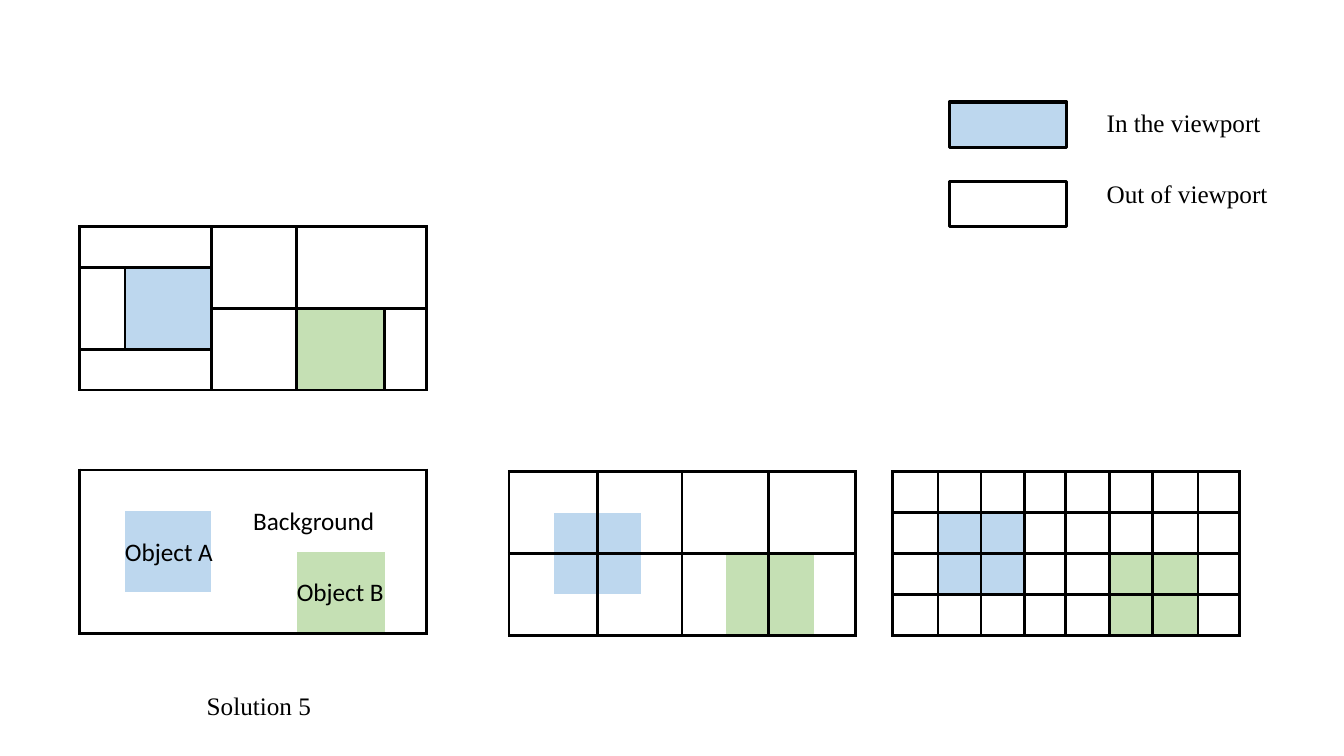
from dataclasses import dataclass

from lxml import etree
from pptx import Presentation
from pptx.dml.color import RGBColor
from pptx.enum.shapes import MSO_SHAPE
from pptx.enum.text import MSO_AUTO_SIZE
from pptx.oxml.ns import qn
from pptx.util import Cm, Pt

RECT = MSO_SHAPE.RECTANGLE
GROW = MSO_AUTO_SIZE.SHAPE_TO_FIT_TEXT


@dataclass(frozen=True)
class Theme:
    ink: str = "000000"
    blue: str = "BDD7EE"
    green: str = "C5E0B4"
    serif: str = "Times New Roman"
    sans: str = "Calibri"
    size: float = 18
    line: float = 2.25


THEME = Theme()
COLS = (1.14, 1.08, 1.1, 1.04, 1.11, 1.07, 1.15, 1.05)
ROW = 1.03

# Cells covered by each object, as (row, column)
FILLS = {(r, c): THEME.blue for r in (1, 2) for c in (1, 2)}
FILLS.update({(r, c): THEME.green for r in (2, 3) for c in (5, 6)})

# Tile maps: cells with the same letter form one tile
WHOLE = ("a" * 8,) * 4
COARSE = ("aabbccdd",) * 2 + ("eeffgghh",) * 2
FINE = ("abcdefgh", "ijklmnop") * 2
MIXED = ("aaabbccc", "deebbccc", "deeffggh", "iiiffggh")


def rgb(code):
    return RGBColor.from_string(code)


def add_text(slide, box, words, font):
    shape = slide.shapes.add_textbox(*map(Cm, box))
    frame = shape.text_frame
    frame.word_wrap = True
    frame.auto_size = GROW
    run = frame.paragraphs[0].add_run()
    run.text = words
    run.font.name = font
    run.font.size = Pt(THEME.size)
    run.font.color.rgb = rgb(THEME.ink)


def set_edge(props, side, shown):
    line = etree.SubElement(props, qn("a:ln" + side), w=str(Pt(THEME.line)))
    if shown:
        fill = etree.SubElement(line, qn("a:solidFill"))
        etree.SubElement(fill, qn("a:srgbClr"), val=THEME.ink)
    else:
        etree.SubElement(line, qn("a:noFill"))


def add_grid(slide, left, top, tiles):
    """Draw a frame, with a line wherever two neighbours differ."""
    rows, cols = len(tiles), len(COLS)
    box = (left, top, sum(COLS), ROW * rows)
    table = slide.shapes.add_table(rows, cols, *map(Cm, box)).table
    table.first_row = table.horz_banding = False
    for col, width in zip(table.columns, COLS):
        col.width = Cm(width)
    for row in table.rows:
        row.height = Cm(ROW)

    def tile(r, c):
        return tiles[r][c] if 0 <= r < rows and 0 <= c < cols else None

    for r in range(rows):
        for c in range(cols):
            cell = table.cell(r, c)
            cell.margin_top = cell.margin_bottom = 0
            props = cell._tc.get_or_add_tcPr()
            near = {"L": (r, c - 1), "R": (r, c + 1),
                    "T": (r - 1, c), "B": (r + 1, c)}
            for side, spot in near.items():
                set_edge(props, side, tile(r, c) != tile(*spot))
            if (r, c) in FILLS:
                cell.fill.solid()
                cell.fill.fore_color.rgb = rgb(FILLS[r, c])
            else:
                cell.fill.background()


def add_scene(slide, left, top):
    """Draw the undivided view with its labels and caption."""
    add_grid(slide, left, top, WHOLE)
    labels = (("Object A", 0.89, 1.55, 3.25),
              ("Object B", 5.22, 2.56, 3.25),
              ("Background", 4.12, 0.78, 4.65))
    for words, dx, dy, width in labels:
        add_text(slide, (left + dx, top + dy, width, 1.02), words, THEME.sans)
    add_text(slide, (left + 2.95, top + 5.43, 5, 1.02), "Solution 5",
             THEME.serif)


def add_legend(slide, left, top):
    items = (("In the viewport", THEME.blue), ("Out of viewport", None))
    for i, (words, color) in enumerate(items):
        box = (left, top + 2 * i, 2.95, 1.14)
        key = slide.shapes.add_shape(RECT, *map(Cm, box))
        key.shadow.inherit = False
        key.line.color.rgb = rgb(THEME.ink)
        key.line.width = Pt(THEME.line)
        if color:
            key.fill.solid()
            key.fill.fore_color.rgb = rgb(color)
        else:
            key.fill.background()
        add_text(slide, (left + 3.71, top + 1.8 * i, 5, 1.02), words,
                 THEME.serif)


def main():
    deck = Presentation()
    deck.slide_width, deck.slide_height = Cm(33.87), Cm(19.05)
    slide = deck.slides.add_slide(deck.slide_layouts[6])
    add_legend(slide, 23.93, 2.57)
    add_scene(slide, 2.01, 11.84)
    add_grid(slide, 12.83, 11.89, COARSE)
    add_grid(slide, 22.5, 11.89, FINE)
    add_grid(slide, 2.01, 5.71, MIXED)
    deck.save("out.pptx")


if __name__ == "__main__":
    main()
